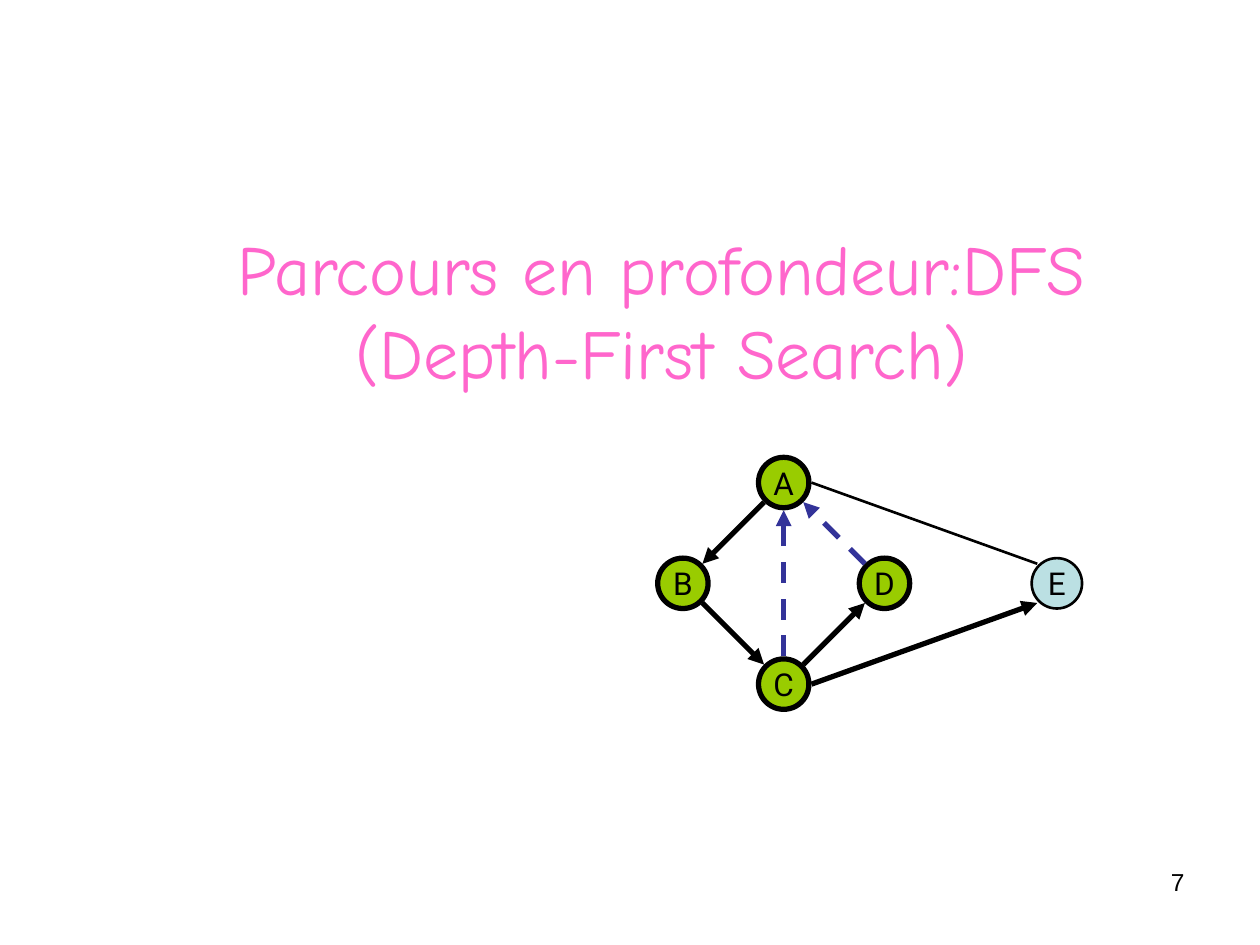
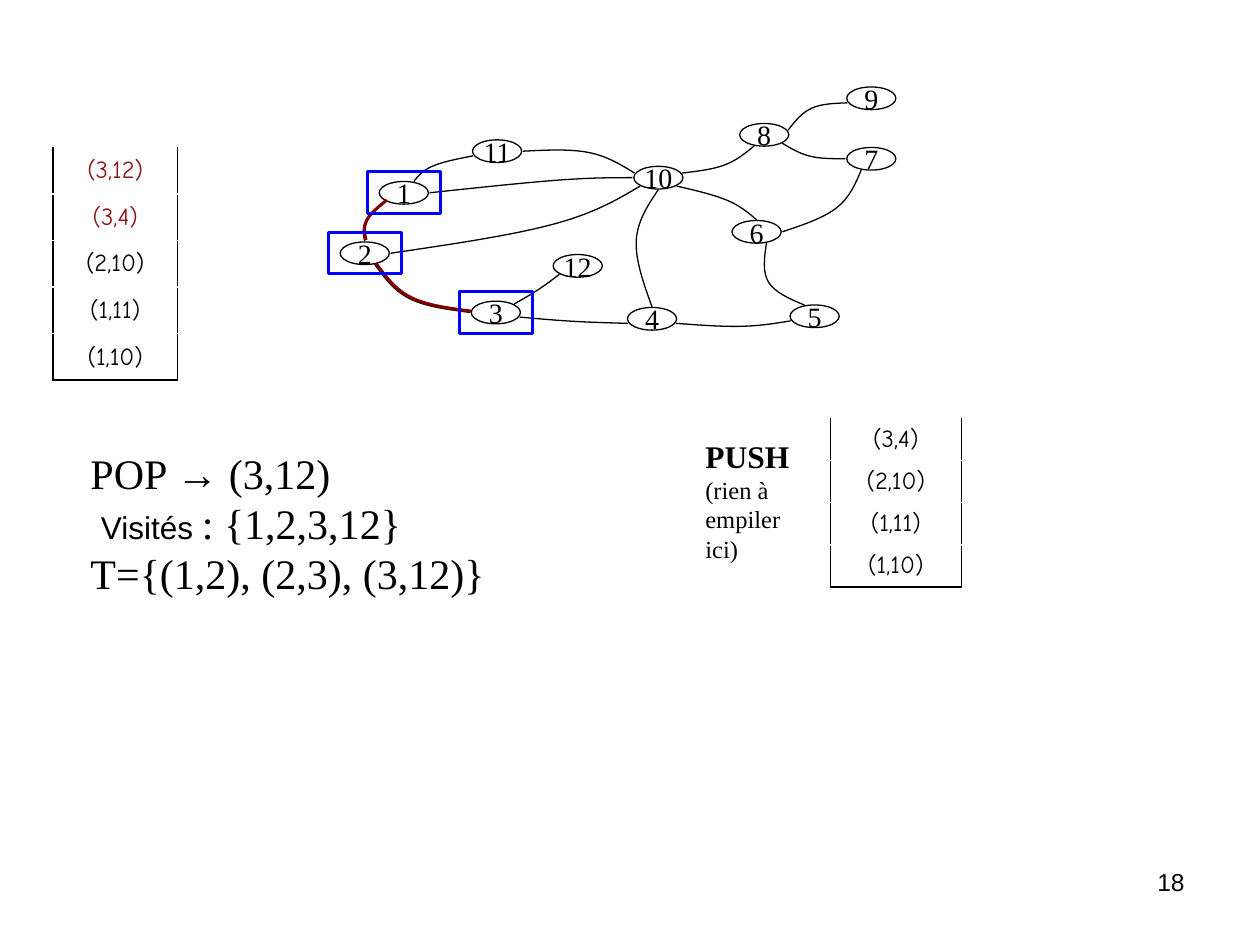
from math import cos, pi, sin

from lxml.etree import SubElement
from pptx import Presentation
from pptx.dml.color import RGBColor
from pptx.enum.dml import MSO_LINE
from pptx.enum.shapes import MSO_CONNECTOR, MSO_SHAPE
from pptx.enum.text import MSO_ANCHOR as Anchor, PP_ALIGN as Align
from pptx.oxml.ns import qn
from pptx.util import Inches, Pt

WIDTH, HEIGHT = 10, 7.5
BLACK, WHITE, PINK = "000000", "FFFFFF", "FF66CC"
GREEN, PALE_BLUE, INDIGO = "99CC00", "BBE0E3", "333399"
BLUE, MAROON, DARK_RED = "0000FF", "800000", "89171D"
SANS, SERIF, COMIC, LABEL = "Arial", "Times New Roman", "Comic Neue", "Roboto"
COMPASS = "E ESE SE SSE S SSW SW WSW W WNW NW NNW N NNE NE ENE".split()

VERTICES = {"A": (2, 0), "B": (0, 2), "C": (2, 4), "D": (4, 2), "E": (7.42, 2)}
TREE_ARCS = ["A SW B NE", "B SE C NW", "C NE D SW", "C E E SW"]
BACK_ARCS = ["D NW A SE", "C N A S"]

NODE_WIDTH, NODE_HEIGHT = 39, 18
FRAME_WIDTH, FRAME_HEIGHT = 58, 33
GRAPH_NODES = {"2": (70, 192), "8": (387, 98), "10": (303, 132), "11": (175, 111),
               "9": (472, 69), "7": (472, 117), "6": (381, 175), "5": (427, 242),
               "3": (174, 239), "4": (298, 244), "12": (239, 202), "1": (101, 144)}
GRAPH_EDGES = {
    "2 SSE 3 W": (125, 237), "3 ESE 4 WSW": (255, 255), "4 ESE 5 WSW": (388, 259),
    "3 NE 12 SW": (227, 230), "6 SSE 5 NNW": (410, 224), "10 SE 6 N": (377, 159),
    "4 N 10 S": (305, 191), "2 E 10 SW": (239, 178), "10 WNW 11 E": (267, 121),
    "11 WSW 1 NNE": (143, 132), "1 SW 2 N": (90, 176), "1 E 10 W": (243, 143),
    "10 ENE 8 SSW": (375, 131), "8 ENE 9 WSW": (444, 86), "8 SE 7 W": (443, 124),
    "7 SSW 6 E": (464, 165),
}
TREE_EDGES = ["2 SSE 3 W", "1 SW 2 N"]
VISITED = "321"


def color(value):
    """Turn a hex string into a colour."""
    return RGBColor.from_string(value)


def emu(*lengths):
    """Convert inches to slide units."""
    return [Inches(length) for length in lengths]


def rim_point(center, side, reach):
    """Find the point around a centre that lies on a compass side."""
    angle = 2 * pi * COMPASS.index(side) / len(COMPASS)
    return center[0] + reach[0] * cos(angle), center[1] + reach[1] * sin(angle)


def between(first, second, share):
    """Find the point at a share of the way from one point to another."""
    return tuple(a + (b - a) * share for a, b in zip(first, second))


def add_run(paragraph, text, size, font, ink=BLACK, bold=False):
    """Add one formatted run to a paragraph."""
    run = paragraph.add_run()
    run.text = text
    run.font.size, run.font.name, run.font.bold = Pt(size), font, bold
    run.font.color.rgb = color(ink)


def add_text_box(slide, box, align=Align.LEFT, anchor=Anchor.TOP, wrap=True):
    """Add an empty text box and return its frame."""
    frame = slide.shapes.add_textbox(*emu(*box)).text_frame
    frame.word_wrap, frame.vertical_anchor = wrap, anchor
    frame.paragraphs[0].alignment = align
    return frame


def add_outlined(slide, kind, box, fill, ink, weight):
    """Add a preset shape with an outline and an optional fill."""
    shape = slide.shapes.add_shape(kind, *emu(*box))
    shape.shadow.inherit = False
    if fill:
        shape.fill.solid()
        shape.fill.fore_color.rgb = color(fill)
    else:
        shape.fill.background()
    shape.line.color.rgb, shape.line.width = color(ink), Pt(weight)
    return shape


def add_node(slide, box, label, fill, weight, size, font):
    """Add a labelled ellipse."""
    frame = add_outlined(slide, MSO_SHAPE.OVAL, box, fill, BLACK, weight).text_frame
    frame.word_wrap, frame.vertical_anchor = False, Anchor.MIDDLE
    frame.paragraphs[0].alignment = Align.CENTER
    add_run(frame.paragraphs[0], label, size, font)


def add_arc(slide, start, end, ink=BLACK, weight=3, dashed=False, arrow=True):
    """Add a straight line with an optional arrowhead at its end."""
    connector = slide.shapes.add_connector(MSO_CONNECTOR.STRAIGHT, *emu(*start, *end))
    line = connector.line
    line.color.rgb, line.width = color(ink), Pt(weight)
    if dashed:
        line.dash_style = MSO_LINE.DASH
    properties = connector._element.spPr
    if arrow:
        SubElement(properties.find(qn("a:ln")), qn("a:tailEnd"), type="triangle")
    SubElement(properties, qn("a:effectLst"))


def add_curve(slide, start, middle, end, ink, weight):
    """Add a smooth Bézier curve through three points."""
    sixth = [(b - a) / 6 for a, b in zip(start, end)]
    before = [m - s for m, s in zip(middle, sixth)]
    after = [m + s for m, s in zip(middle, sixth)]
    points = [between(start, before, 0.5), before, middle,
              after, between(after, end, 0.5), end]
    builder = slide.shapes.build_freeform(*emu(*start))
    builder.add_line_segments([emu(*point) for point in points], close=False)
    curve = builder.convert_to_shape()
    curve.shadow.inherit = False
    curve.fill.background()
    curve.line.color.rgb, curve.line.width = color(ink), Pt(weight)
    segments = curve._element.xpath(".//a:lnTo")
    outline = segments[0].getparent()
    for triple in (segments[:3], segments[3:]):
        bezier = SubElement(outline, qn("a:cubicBezTo"))
        for segment in triple:
            bezier.append(segment[0])
            outline.remove(segment)


def add_borders(cell, sides):
    """Draw the given sides of a cell and leave it unfilled."""
    properties = cell._tc.get_or_add_tcPr()
    for side in sides:
        border = SubElement(properties, qn(f"a:ln{side}"), w=str(Pt(1.08)))
        fill = SubElement(border, qn("a:solidFill"))
        SubElement(fill, qn("a:srgbClr"), val=BLACK)
    SubElement(properties, qn("a:noFill"))


def add_stack(slide, box, entries, highlighted=0):
    """Add a stack of edges, open at the top, with its first entries in red."""
    table = slide.shapes.add_table(len(entries), 1, *emu(*box)).table
    table.first_row = table.horz_banding = False
    for index, entry in enumerate(entries):
        table.rows[index].height = Inches(box[3] / len(entries))
        cell = table.cell(index, 0)
        cell.vertical_anchor = Anchor.MIDDLE
        paragraph = cell.text_frame.paragraphs[0]
        paragraph.alignment, paragraph.space_before = Align.CENTER, Pt(3.5)
        add_run(paragraph, entry, 14, COMIC, DARK_RED if index < highlighted else BLACK)
        add_borders(cell, "LRB" if index == len(entries) - 1 else "LR")


def add_slide(presentation, number):
    """Add a blank white slide with its page number."""
    slide = presentation.slides.add_slide(presentation.slide_layouts[6])
    slide.background.fill.solid()
    slide.background.fill.fore_color.rgb = color(WHITE)
    frame = add_text_box(slide, (7.17, 6.83, 2.33, 0.52), Align.RIGHT)
    add_run(frame.paragraphs[0], number, 14, SANS)
    return slide


def draw_search_tree(slide, left, top, diameter):
    """Draw the lettered graph on a grid of node diameters."""
    def ends(arc):
        """Find the two points that an arc joins."""
        source, leaving, target, entering = arc.split()
        for name, side in ((source, leaving), (target, entering)):
            column, row = VERTICES[name]
            center = left + (column + 0.5) * diameter, top + (row + 0.5) * diameter
            yield rim_point(center, side, [0.55 * diameter] * 2)

    for name, (column, row) in VERTICES.items():
        fill, weight = (PALE_BLUE, 1.5) if name == "E" else (GREEN, 3)
        box = (left + column * diameter, top + row * diameter, diameter, diameter)
        add_node(slide, box, name, fill, weight, 18, LABEL)
    for arc in TREE_ARCS:
        add_arc(slide, *ends(arc))
    for arc in BACK_ARCS:
        add_arc(slide, *ends(arc), INDIGO, dashed=True)
    add_arc(slide, *ends("E NW A E"), weight=1.5, arrow=False)


def draw_numbered_graph(slide, left, top, unit):
    """Draw the numbered graph, its tree edges and frames on a fine grid."""
    def place(column, row):
        """Turn a grid position into inches."""
        return left + column * unit, top + row * unit

    def center(label):
        """Find the grid position of the middle of a node."""
        column, row = GRAPH_NODES[label]
        return column + NODE_WIDTH / 2, row + NODE_HEIGHT / 2

    def draw_edge(edge, ink, weight, shift=0):
        """Draw an edge, shifted up and to the right."""
        source, leaving, target, entering = edge.split()
        reach = NODE_WIDTH / 2 + 1, NODE_HEIGHT / 2 + 0.5
        points = (rim_point(center(source), leaving, reach), GRAPH_EDGES[edge],
                  rim_point(center(target), entering, reach))
        shifted = [place(column + shift, row - shift) for column, row in points]
        add_curve(slide, *shifted, ink, weight)

    for label, position in GRAPH_NODES.items():
        box = (*place(*position), NODE_WIDTH * unit, NODE_HEIGHT * unit)
        add_node(slide, box, label, WHITE, 0.75, 16, SERIF)
    for edge in GRAPH_EDGES:
        draw_edge(edge, BLACK, 0.75)
    for edge in TREE_EDGES:
        draw_edge(edge, MAROON, 1.75, shift=1)
    for label in VISITED:
        column, row = center(label)
        corner = place(column - FRAME_WIDTH / 2, row - FRAME_HEIGHT / 2)
        box = (*corner, FRAME_WIDTH * unit, FRAME_HEIGHT * unit)
        add_outlined(slide, MSO_SHAPE.RECTANGLE, box, None, BLUE, 1.75)


def write_step(slide, box):
    """Write the popped edge, the visited nodes and the tree."""
    paragraph = add_text_box(slide, box).paragraphs[0]
    paragraph.space_before = Pt(15)
    add_run(paragraph, "POP ", 24, SERIF)
    add_run(paragraph, "→", 24, SANS)
    add_run(paragraph, " (3,12)", 24, SERIF)
    paragraph.add_line_break()
    add_run(paragraph, " ", 24, SERIF)
    add_run(paragraph, "Visités ", 18, SANS)
    add_run(paragraph, ": {1,2,3,12}", 24, SERIF)
    paragraph.add_line_break()
    add_run(paragraph, "T={(1,2), (2,3), (3,12)}", 24, SERIF)


def write_push(slide, box):
    """Write what is pushed at this step."""
    frame = add_text_box(slide, box, wrap=False)
    add_run(frame.paragraphs[0], "PUSH", 18, SERIF, bold=True)
    for line in ("(rien à", "empiler ici)"):
        add_run(frame.add_paragraph(), line, 14, SERIF)


def build_title_slide(presentation):
    """Build the opening slide on depth-first search."""
    slide = add_slide(presentation, "7")
    frame = add_text_box(slide, (1, 1.83, 8.5, 1.25), Align.CENTER, Anchor.MIDDLE)
    add_run(frame.paragraphs[0], "Parcours en profondeur:DFS (Depth-First Search)", 40, COMIC, PINK)
    draw_search_tree(slide, 5.22, 3.63, 0.4)


def build_step_slide(presentation):
    """Build the slide that traces one step of the search."""
    slide = add_slide(presentation, "18")
    stack = ["(3,12)", "(3,4)", "(2,10)", "(1,11)", "(1,10)"]
    write_step(slide, (0.62, 3.5, 8.13, 1.3))
    add_stack(slide, (6.59, 3.32, 1.04, 1.34), stack[1:])
    draw_numbered_graph(slide, 2, 0, 0.01)
    write_push(slide, (5.5, 3.42, 1.1, 0.87))
    add_stack(slide, (0.42, 1.17, 0.99, 1.85), stack, highlighted=2)


def main():
    """Build and save the presentation."""
    presentation = Presentation()
    presentation.slide_width, presentation.slide_height = emu(WIDTH, HEIGHT)
    build_title_slide(presentation)
    build_step_slide(presentation)
    presentation.save("out.pptx")


if __name__ == "__main__":
    main()
